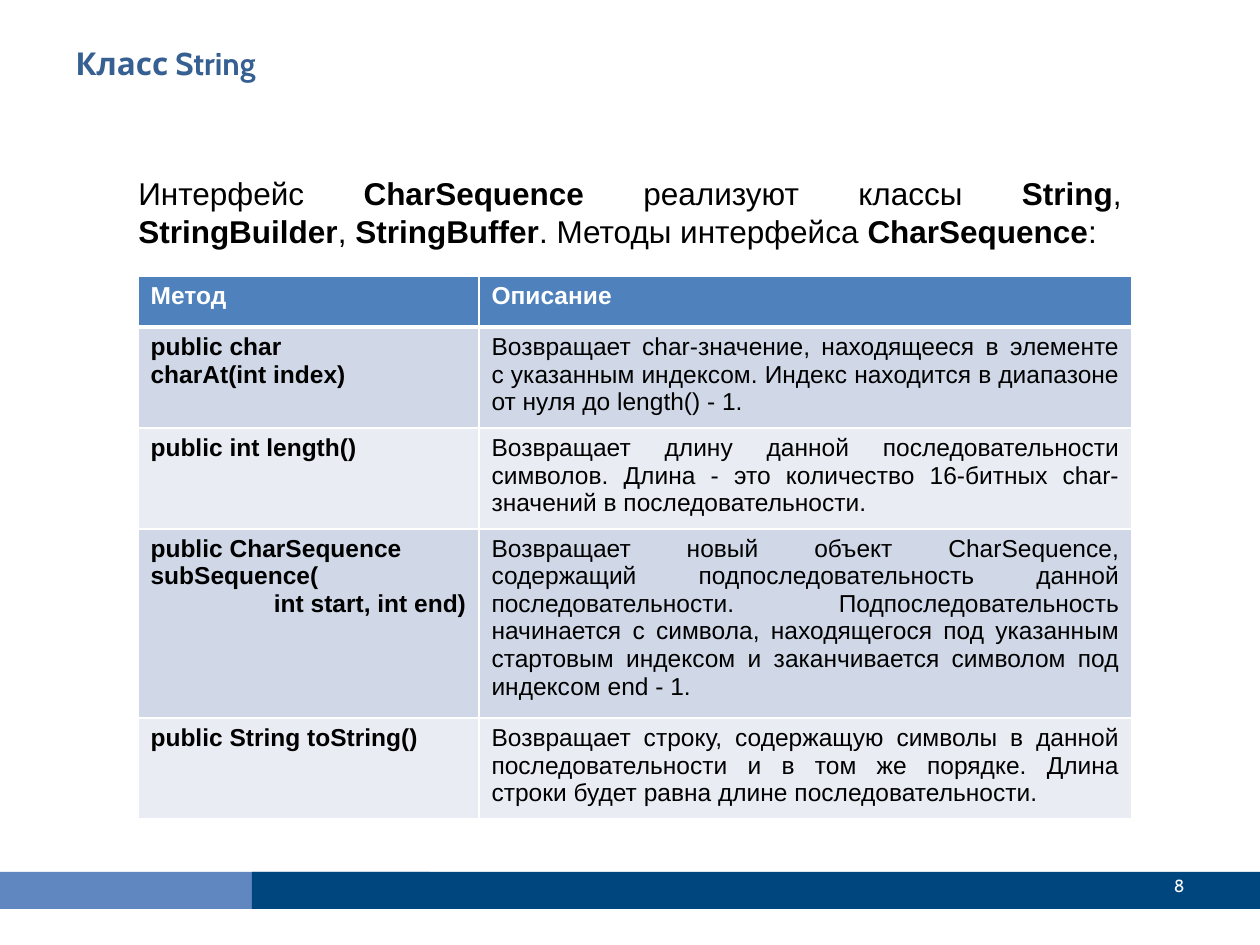
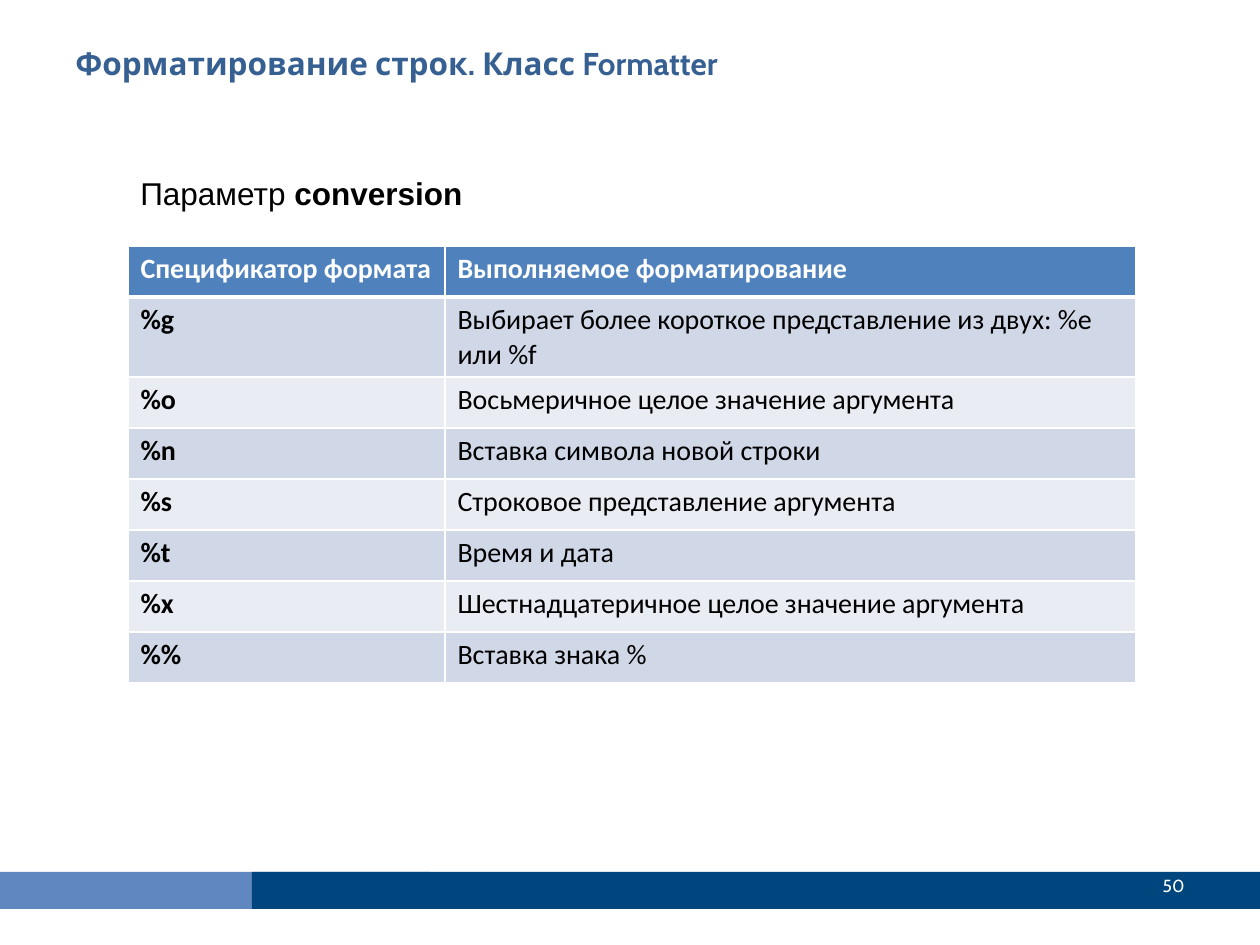
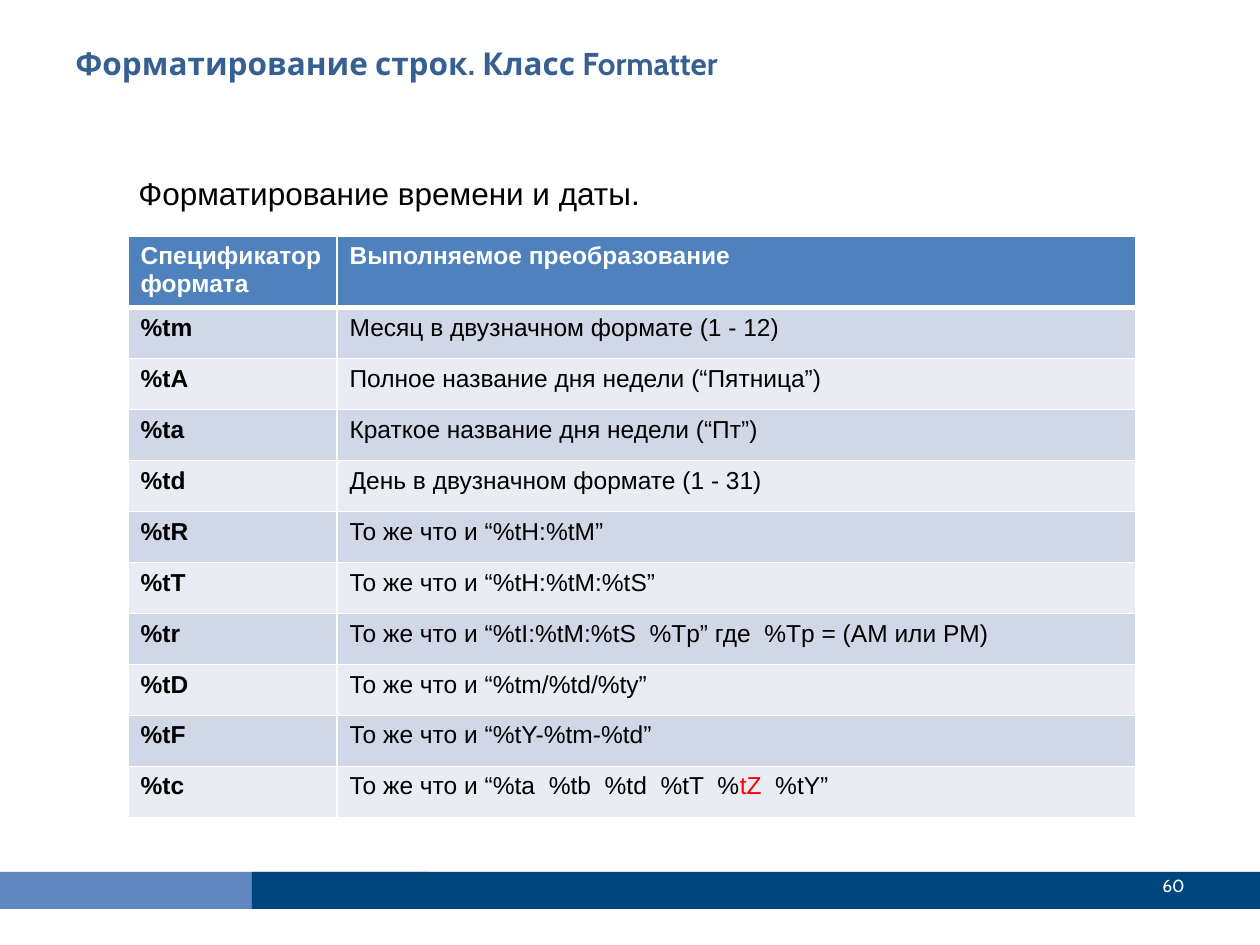
from lxml import etree
from pptx import Presentation
from pptx import util as u
from pptx.dml import color as col
from pptx.enum import shapes, text
from pptx.oxml import ns

PX = 914400 // 126
ALIGN = text.PP_ALIGN
LEFT, RIGHT, FULL = ALIGN.LEFT, ALIGN.RIGHT, ALIGN.JUSTIFY
WHITE, BLACK, RED = "FFFFFF", "000000", "FF0000"
HEAD, ODD, EVEN = "4F81BD", "D0D8E7", "E9ECF3"
BANDS = [((-2, 872, 432, 37), "6087BF"), ((252, 872, 1008, 37), "00467E")]
TITLE = {"name": "Cabin", "size": 18, "bold": True, "color": "376092"}
PAGE = {"name": "Cabin", "size": 10, "color": WHITE}
LEAD = {"name": "Arial", "size": 18, "color": BLACK}
ARIAL = {"name": "Arial", "size": 14}
CALIBRI = {"name": "Calibri", "size": 16}

CHARS = [
    ("Метод", "Описание"),
    ("public char\ncharAt(int index)",
     "Возвращает char-значение, находящееся в элементе с указанным индексом. "
     "Индекс находится в диапазоне от нуля до length() - 1."),
    ("public int length()",
     "Возвращает длину данной последовательности символов. Длина - это "
     "количество 16-битных char-значений в последовательности."),
    ("public CharSequence subSequence(\nint start, int end)",
     "Возвращает новый объект CharSequence, содержащий подпоследовательность "
     "данной последовательности. Подпоследовательность начинается с символа, "
     "находящегося под указанным стартовым индексом и заканчивается символом "
     "под индексом end - 1."),
    ("public String toString()",
     "Возвращает строку, содержащую символы в данной последовательности и в "
     "том же порядке. Длина строки будет равна длине последовательности."),
]
CODES = [
    ("Спецификатор формата", "Выполняемое форматирование"),
    ("%g", "Выбирает более короткое представление из двух: %e или %f"),
    ("%o", "Восьмеричное целое значение аргумента"),
    ("%n", "Вставка символа новой строки"),
    ("%s", "Строковое представление аргумента"),
    ("%t", "Время и дата"),
    ("%x", "Шестнадцатеричное целое значение аргумента"),
    ("%%", "Вставка знака %"),
]
DATES = [
    ("Спецификатор формата", "Выполняемое преобразование"),
    ("%tm", "Месяц в двузначном формате (1 - 12)"),
    ("%tA", "Полное название дня недели (“Пятница”)"),
    ("%ta", "Краткое название дня недели (“Пт”)"),
    ("%td", "День в двузначном формате (1 - 31)"),
    ("%tR", "То же что и “%tH:%tM”"),
    ("%tT", "То же что и “%tH:%tM:%tS”"),
    ("%tr", "То же что и “%tI:%tM:%tS  %Tp” где  %Tp = (AM или PM)"),
    ("%tD", "То же что и “%tm/%td/%ty”"),
    ("%tF", "То же что и “%tY-%tm-%td”"),
    ("%tc", "То же что и “%ta  %tb  %td  %tT  %|tZ|  %tY”"),
]


def px(*vals):
    """Turn picture pixels into EMU."""
    return [u.Emu(v * PX) for v in vals]


def rgb(code):
    """Turn a hex string into a colour."""
    return col.RGBColor.from_string(code)


def style(font, form):
    """Set font attributes from a dict of format values."""
    for key, val in form.items():
        if key == "color":
            font.color.rgb = rgb(val)
        else:
            setattr(font, key, u.Pt(val) if key == "size" else val)


def write(frame, words, form, mark=None, aligns=(LEFT,), gap=0):
    """Write paragraphs, giving the parts between bars the mark format."""
    for i, line in enumerate(words.split("\n")):
        para = frame.add_paragraph() if i else frame.paragraphs[0]
        para.alignment = aligns[min(i, len(aligns) - 1)]
        para.space_before = u.Pt(gap)
        for j, part in enumerate(line.split("|")):
            if part:
                run = para.add_run()
                run.text = part
                style(run.font, {**form, **(mark or {})} if j % 2 else form)


def label(slide, box, words, form, anchor=text.MSO_ANCHOR.TOP, **opts):
    """Add a wrapped text box."""
    frame = slide.shapes.add_textbox(*px(*box)).text_frame
    frame.word_wrap = True
    frame.vertical_anchor = anchor
    write(frame, words, form, **opts)


def band(slide, box, fill):
    """Add a plain filled rectangle."""
    bar = slide.shapes.add_shape(shapes.MSO_SHAPE.RECTANGLE, *px(*box))
    bar.shadow.inherit = False
    bar.fill.solid()
    bar.fill.fore_color.rgb = rgb(fill)
    bar.line.fill.background()


def edge(cell, widths):
    """Draw white cell borders of the given widths in points."""
    props = cell._tc.get_or_add_tcPr()
    for side, width in widths.items():
        line = etree.SubElement(props, ns.qn("a:ln" + side), w=str(u.Pt(width)))
        fill = etree.SubElement(line, ns.qn("a:solidFill"))
        etree.SubElement(fill, ns.qn("a:srgbClr"), val=WHITE)


def grid(slide, spot, cols, rows, data, form, body=LEFT):
    """Add a striped table with a header row and bold first column."""
    box = px(*spot, sum(cols), sum(rows))
    table = slide.shapes.add_table(len(rows), len(cols), *box).table
    for part, size in zip(table.columns, px(*cols)):
        part.width = size
    for part, size in zip(table.rows, px(*rows)):
        part.height = size
    for r, line in enumerate(data):
        for c, words in enumerate(line):
            cell = table.cell(r, c)
            edge(cell, {"L": 0.96, "R": 0.96, "T": 3 if r == 1 else 0.96,
                        "B": 0.96 if r else 3})
            cell.fill.solid()
            cell.fill.fore_color.rgb = rgb((ODD if r % 2 else EVEN) if r else HEAD)
            look = {**form, "bold": not (r and c), "color": BLACK if r else WHITE}
            if c:
                aligns = (body if r else LEFT,)
            else:
                aligns = (LEFT, RIGHT if words.endswith("end)") else LEFT)
            write(cell.text_frame, words, look, {"color": RED}, aligns)


def page(deck, title, num, lead, left=126, align=LEFT):
    """Add a slide with bands, title, lead text and page number."""
    slide = deck.slides.add_slide(deck.slide_layouts[6])
    for box, fill in BANDS:
        band(slide, box, fill)
    label(slide, (63, 38, 1134, 98), title, TITLE)
    label(slide, (left, 168, 1008, 661), lead, LEAD, mark={"bold": True},
          aligns=(align,), gap=3.6)
    label(slide, (1061, 861, 136, 50), num, PAGE, text.MSO_ANCHOR.MIDDLE,
          aligns=(RIGHT,))
    return slide


def main():
    """Build the three slides and save them."""
    deck = Presentation()
    deck.slide_width, deck.slide_height = px(1260, 945)
    slide = page(deck, "Класс String", "8",
                 "Интерфейс |CharSequence| реализуют классы |String|, "
                 "|StringBuilder|, |StringBuffer|. Методы интерфейса "
                 "|CharSequence|:", align=FULL)
    grid(slide, (138, 276), (341, 653), (51, 95, 95, 178, 95), CHARS, ARIAL, FULL)
    topic = "Форматирование строк. Класс Formatter"
    slide = page(deck, topic, "50", "Параметр |conversion|", 128)
    grid(slide, (128, 246), (317, 691), (51, 68, *[51] * 6), CODES, CALIBRI)
    slide = page(deck, topic, "60", "Форматирование времени и даты.")
    grid(slide, (128, 236), (209, 799), (68, *[51] * 10), DATES, ARIAL)
    deck.save("out.pptx")


main()
